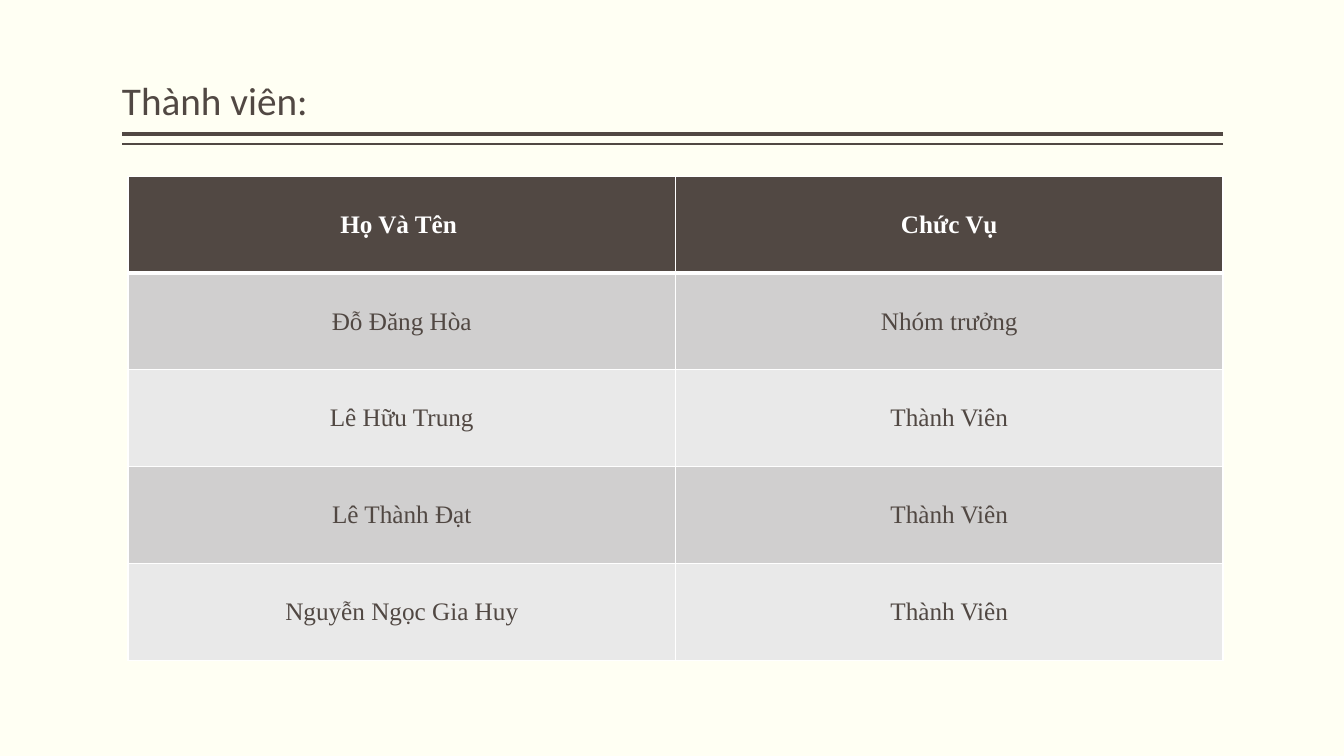
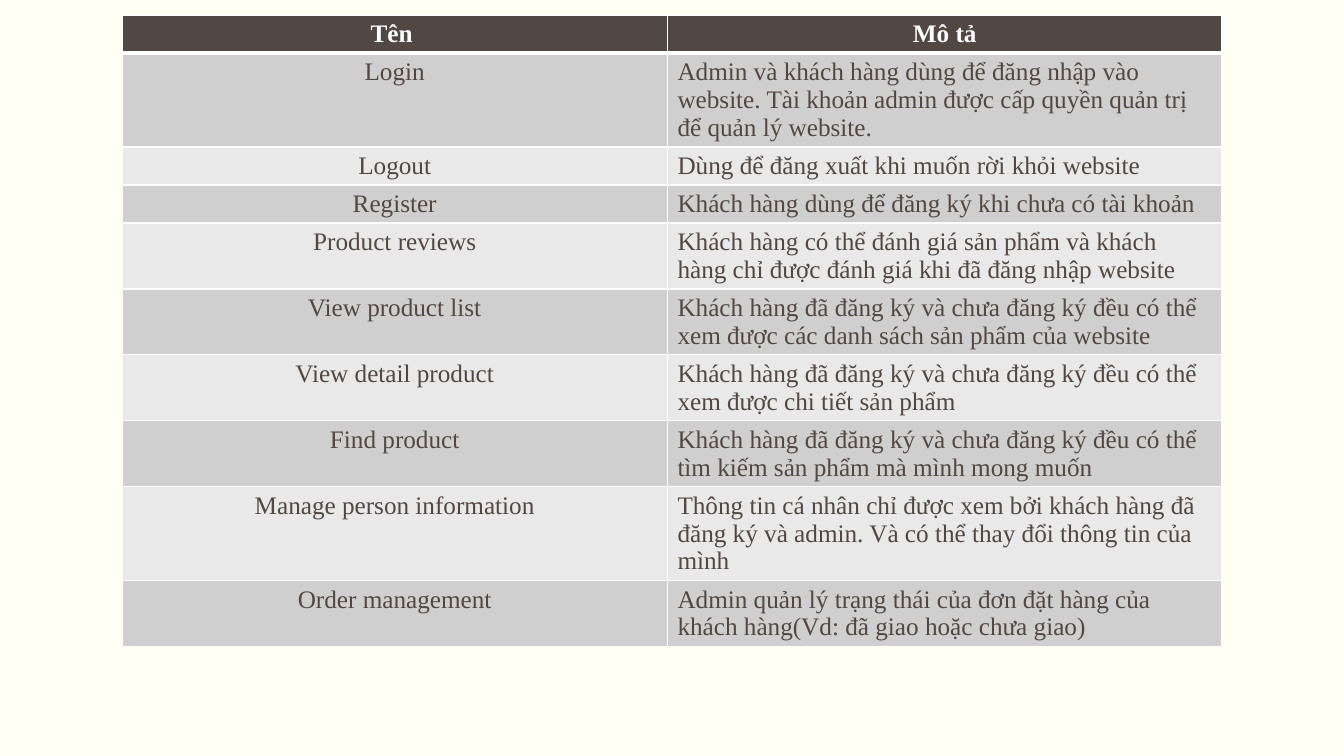
from lxml.etree import SubElement
from pptx import Presentation
from pptx.dml.color import RGBColor
from pptx.enum.shapes import MSO_CONNECTOR
from pptx.enum.text import MSO_ANCHOR, PP_ALIGN
from pptx.oxml import parse_xml
from pptx.oxml.ns import nsdecls, qn
from pptx.util import Inches, Pt

# Content
TITLE = "Thành viên:"
MEMBERS = [
    ("Họ Và Tên ", "Chức Vụ"),
    ("Đỗ Đăng Hòa", "Nhóm trưởng"),
    ("Lê Hữu Trung", "Thành Viên"),
    ("Lê Thành Đạt", "Thành Viên"),
    ("Nguyễn Ngọc Gia Huy", "Thành Viên"),
]
USE_CASES = [
    ("Tên ", "Mô tả"),
    ("Login", "Admin và khách hàng dùng để đăng nhập vào website. "
     "Tài khoản admin được cấp quyền quản trị để quản lý website."),
    ("Logout", "Dùng để đăng xuất khi muốn rời khỏi website"),
    ("Register", "Khách hàng dùng để đăng ký khi chưa có tài khoản"),
    ("Product reviews", "Khách hàng có thể đánh giá sản phẩm và khách hàng "
     "chỉ được đánh giá khi đã đăng nhập website"),
    ("View product list", "Khách hàng đã đăng ký và chưa đăng ký đều có thể "
     "xem được các danh sách sản phẩm của website"),
    ("View detail product", "Khách hàng đã đăng ký và chưa đăng ký đều có thể "
     "xem được chi tiết sản phẩm"),
    ("Find product", "Khách hàng đã đăng ký và chưa đăng ký đều có thể "
     "tìm kiếm sản phẩm mà mình mong muốn"),
    ("Manage person information", "Thông tin cá nhân chỉ được xem bởi khách hàng "
     "đã đăng ký và admin. Và có thể thay đổi thông tin của mình"),
    ("Order management", "Admin quản lý trạng thái của đơn đặt hàng của "
     "khách hàng(Vd: đã giao hoặc chưa giao)"),
]
USE_CASE_LINES = [1, 3, 1, 1, 2, 2, 2, 2, 3, 2]

# Shared style
INK, PAPER, WHITE = "514843", "FFFFF3", "FFFFFF"
BANDS = ["E9E9E9", "D0CFCF"]
TITLE_FONT, TABLE_FONT = "Calibri", "Times New Roman"
SLIDE_WIDTH, SLIDE_HEIGHT = 13.33, 7.5
MARGIN, CONTENT_WIDTH = 1.21, 10.92
TITLE_RULES = [(1.33, 3), (1.43, 1)]  # height on the slide, line width
LINE_HEIGHT, CELL_PADDING = 0.27, 0.1


def color(hex_text):
    return RGBColor.from_string(hex_text)


def style_font(paragraph, name, size, hex_text, bold=False):
    for run in paragraph.runs:
        font = run.font
        font.name, font.size, font.bold = name, Pt(size), bold
        font.color.rgb = color(hex_text)


def add_master_rules(presentation, slide):
    """Draw the double title rule and hand it to the slide master."""
    master = presentation.slide_master
    for top, width in TITLE_RULES:
        rule = slide.shapes.add_connector(
            MSO_CONNECTOR.STRAIGHT, Inches(MARGIN + CONTENT_WIDTH), Inches(top),
            Inches(MARGIN), Inches(top))
        rule.line.color.rgb = color(INK)
        rule.line.width = Pt(width)
        SubElement(rule.element.spPr, qn("a:effectLst"))
        master.shapes.element.append(rule.element)


def add_title(slide, text):
    title = slide.shapes.title
    title.left, title.top = Inches(MARGIN), Inches(0.08)
    title.width, title.height = Inches(CONTENT_WIDTH), Inches(1.2)
    frame = title.text_frame
    frame.text = text
    frame.word_wrap = True
    frame.vertical_anchor = MSO_ANCHOR.BOTTOM
    frame.margin_left = frame.margin_right = 0
    frame.margin_top = frame.margin_bottom = Inches(0.05)
    paragraph = frame.paragraphs[0]
    paragraph.alignment = PP_ALIGN.LEFT
    paragraph.line_spacing = 0.9
    style_font(paragraph, TITLE_FONT, 28, INK)


def set_borders(cell, top, bottom):
    properties = cell._tc.get_or_add_tcPr()
    widths = {"lnL": 1, "lnR": 1, "lnT": top, "lnB": bottom}
    for index, (side, width) in enumerate(widths.items()):
        properties.insert(index, parse_xml(
            f'<a:{side} {nsdecls("a")} w="{Pt(width)}"><a:solidFill>'
            f'<a:srgbClr val="{WHITE}"/></a:solidFill></a:{side}>'))


def add_banded_table(slide, rows, left, top, column_widths, row_heights,
                     alignments, anchor):
    table = slide.shapes.add_table(
        len(rows), len(column_widths), Inches(left), Inches(top),
        Inches(sum(column_widths)), Inches(sum(row_heights))).table
    for column, width in zip(table.columns, column_widths):
        column.width = Inches(width)
    for row_index, values in enumerate(rows):
        header = row_index == 0
        table.rows[row_index].height = Inches(row_heights[row_index])
        for column_index, value in enumerate(values):
            cell = table.cell(row_index, column_index)
            cell.text_frame.text = value
            cell.vertical_anchor = anchor
            cell.fill.solid()
            cell.fill.fore_color.rgb = color(INK if header else BANDS[row_index % 2])
            set_borders(cell, 3 if row_index == 1 else 1, 3 if header else 1)
            paragraph = cell.text_frame.paragraphs[0]
            paragraph.alignment = PP_ALIGN.CENTER if header else alignments[column_index]
            style_font(paragraph, TABLE_FONT, 18, WHITE if header else INK, header)


def main():
    presentation = Presentation()
    presentation.slide_width = Inches(SLIDE_WIDTH)
    presentation.slide_height = Inches(SLIDE_HEIGHT)
    background = presentation.slide_master.background.fill
    background.solid()
    background.fore_color.rgb = color(PAPER)
    title_only, blank = presentation.slide_layouts[5], presentation.slide_layouts[6]

    # Members
    slide = presentation.slides.add_slide(title_only)
    add_master_rules(presentation, slide)
    add_title(slide, TITLE)
    add_banded_table(slide, MEMBERS, 1.27, 1.75, [5.43] * 2, [0.96] * len(MEMBERS),
                     [PP_ALIGN.CENTER] * 2, MSO_ANCHOR.MIDDLE)

    # Use cases
    slide = presentation.slides.add_slide(blank)
    heights = [lines * LINE_HEIGHT + CELL_PADDING for lines in USE_CASE_LINES]
    add_banded_table(slide, USE_CASES, MARGIN, 0.15, [5.41, 5.5], heights,
                     [PP_ALIGN.CENTER, PP_ALIGN.LEFT], MSO_ANCHOR.TOP)

    presentation.save("out.pptx")


if __name__ == "__main__":
    main()
